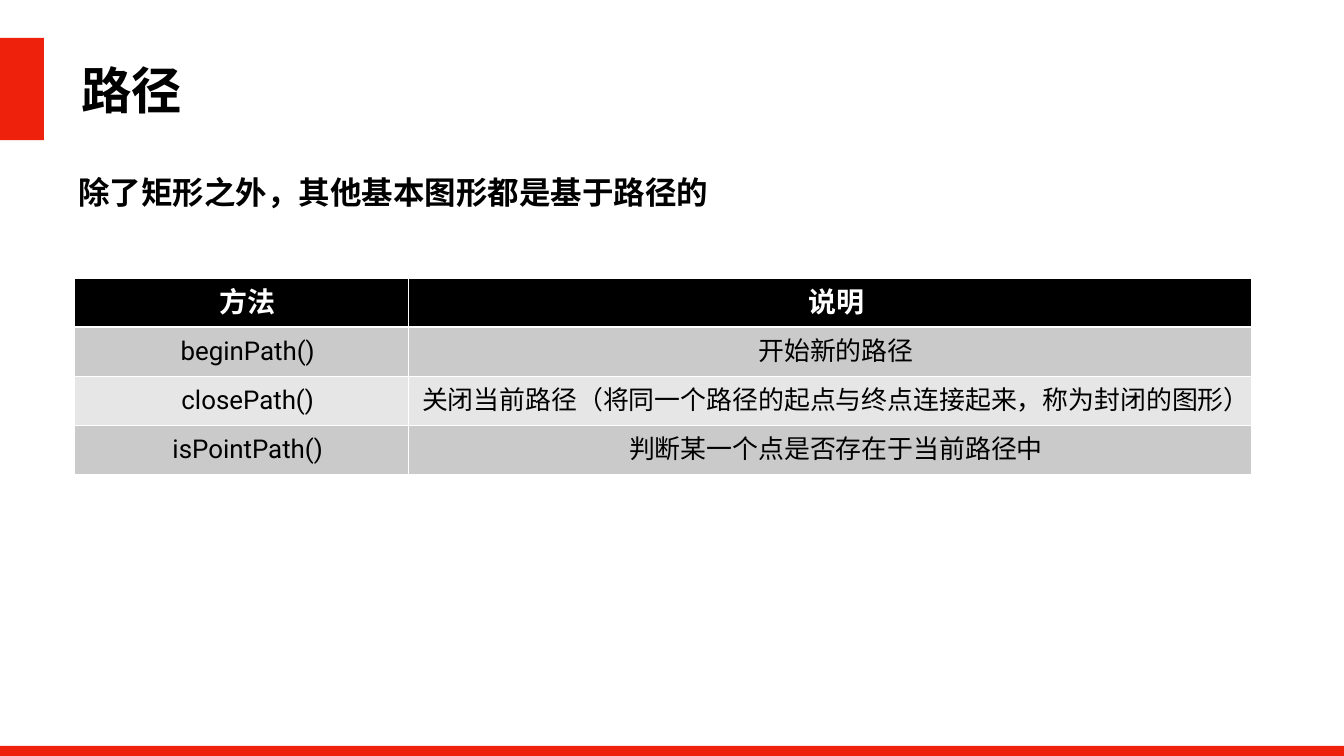
from pptx import Presentation
from pptx.dml.color import RGBColor
from pptx.enum.lang import MSO_LANGUAGE_ID
from pptx.enum.shapes import MSO_SHAPE
from pptx.enum.text import MSO_ANCHOR, PP_ALIGN
from pptx.oxml.ns import qn
from pptx.util import Inches, Pt
from lxml.etree import SubElement

RED, BLACK, WHITE = "EE220C", "000000", "FFFFFF"
DARK_BAND, LIGHT_BAND = "CACACA", "E6E6E6"


def rgb(value):
    return RGBColor.from_string(value)


class Deck:
    """Style and current slide; lengths are percentages of the slide size."""
    font = "Roboto"

    def __init__(self, width, height):
        self.prs = Presentation()
        self.prs.slide_width, self.prs.slide_height = Inches(width), Inches(height)
        self.s = self.prs.slides.add_slide(self.prs.slide_layouts[6])
        self.s.background.fill.solid()
        self.s.background.fill.fore_color.rgb = rgb(WHITE)

    def x(self, share):
        return round(self.prs.slide_width * share / 100)

    def y(self, share):
        return round(self.prs.slide_height * share / 100)

    def box(self, x, y, w, h):
        return self.x(x), self.y(y), self.x(w), self.y(h)

    def run(self, p, text, size, color, bold):
        r = p.add_run()
        r.text = text
        f = r.font
        f.size, f.bold, f.name = Pt(size), bold, self.font
        f.color.rgb = rgb(color)
        f.language_id = MSO_LANGUAGE_ID.SIMPLIFIED_CHINESE
        SubElement(r._r.get_or_add_rPr(), qn("a:ea"), typeface=self.font)

    def bar(self, *place):
        sp = self.s.shapes.add_shape(MSO_SHAPE.RECTANGLE, *self.box(*place))
        sp.shadow.inherit = False
        sp.fill.solid()
        sp.fill.fore_color.rgb = rgb(RED)
        sp.line.fill.background()

    def text(self, place, text, size, spacing=1.0):
        tf = self.s.shapes.add_textbox(*self.box(*place)).text_frame
        tf.word_wrap = True
        tf.vertical_anchor = MSO_ANCHOR.MIDDLE
        tf.margin_left = tf.margin_right = tf.margin_top = tf.margin_bottom = Inches(0.06)
        p = tf.paragraphs[0]
        p.line_spacing = spacing
        self.run(p, text, size, BLACK, True)

    def cell(self, cell, text, fill, size, color, bold, rules):
        cell.margin_left = cell.margin_right = cell.margin_top = cell.margin_bottom = 0
        cell.vertical_anchor = MSO_ANCHOR.MIDDLE
        # Borders go in before the fill, as the schema orders them
        tc_pr = cell._tc.get_or_add_tcPr()
        for side, points in rules.items():
            ln = SubElement(tc_pr, qn(f"a:ln{side}"), w=str(Pt(points)))
            SubElement(SubElement(ln, qn("a:solidFill")), qn("a:srgbClr"), val=WHITE)
        cell.fill.solid()
        cell.fill.fore_color.rgb = rgb(fill)
        p = cell.text_frame.paragraphs[0]
        p.alignment = PP_ALIGN.CENTER
        p_pr = p._p.get_or_add_pPr()
        p_pr.set("marL", "0")
        p_pr.set("indent", str(Inches(0.25)))
        self.run(p, text, size, color, bold)

    def table(self, x, y, widths, row_height, rows):
        place = self.box(x, y, sum(widths), row_height * len(rows))
        table = self.s.shapes.add_table(len(rows), len(widths), *place).table
        for column, width in zip(table.columns, widths):
            column.width = self.x(width)
        for i, row in enumerate(rows):
            table.rows[i].height = self.y(row_height)
            # A heavier rule parts the header from the body
            rules = {"L": 1, "R": 1, "T": 3 if i == 1 else 1, "B": 3 if i == 0 else 1}
            if i == 0:
                style = BLACK, 40, WHITE, True
            else:
                style = DARK_BAND if i % 2 else LIGHT_BAND, 37, BLACK, False
            for j, text in enumerate(row):
                self.cell(table.cell(i, j), text, *style, rules)


def main():
    deck = Deck(26.67, 15)

    # Title with its red marker, and the bottom band
    deck.text((5.81, 6.8, 82.71, 10), "路径", 72)
    deck.bar(0, 5, 3.26, 13.53)
    deck.bar(0, 98.67, 100, 1.33)

    # Path methods
    deck.table(5.55, 36.8, (24.82, 62.73), 6.47, [
        ("方法", "说明"),
        ("beginPath()", "开始新的路径"),
        ("closePath()", "关闭当前路径（将同一个路径的起点与终点连接起来，称为封闭的图形）"),
        ("isPointPath()", "判断某一个点是否存在于当前路径中"),
    ])

    # Lead sentence
    deck.text((5.59, 21.53, 88.83, 6.6), "除了矩形之外，其他基本图形都是基于路径的", 45, 1.2)

    deck.prs.save("out.pptx")


if __name__ == "__main__":
    main()
